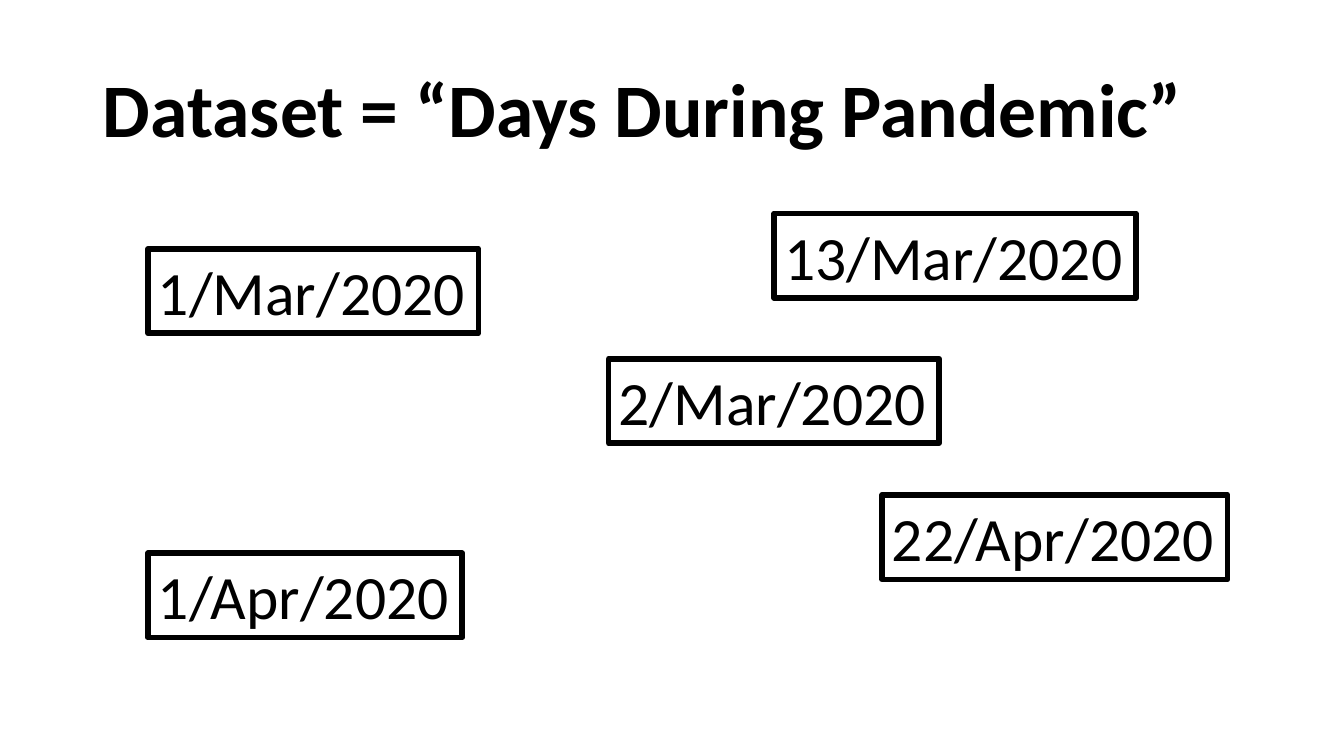
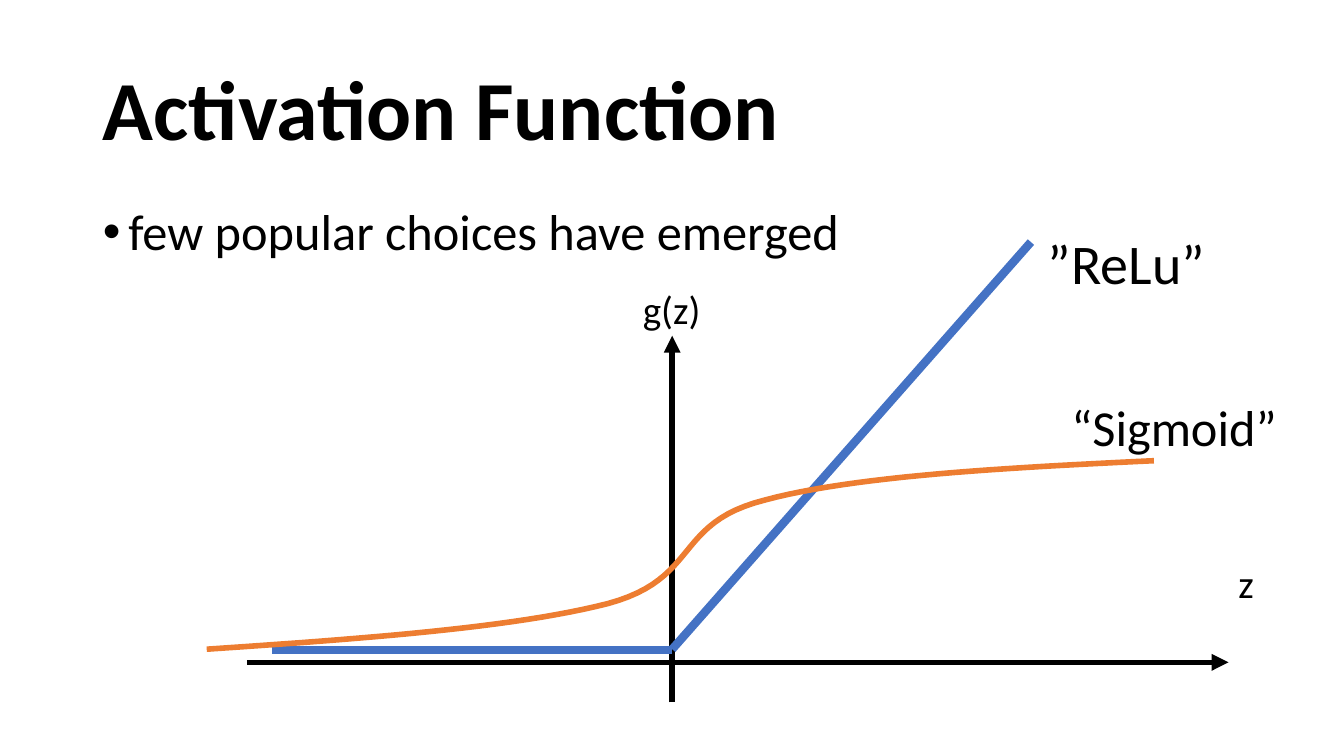
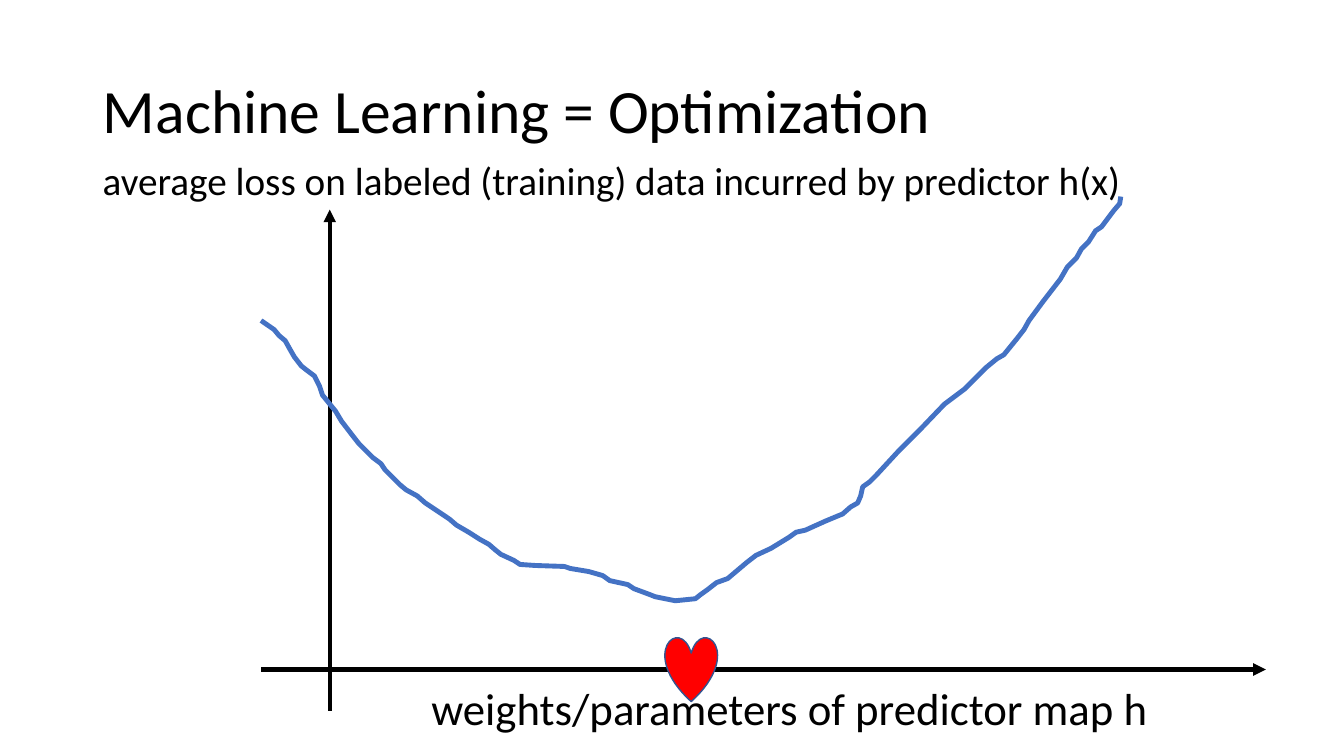
from lxml import etree
from pptx import Presentation
from pptx.dml.color import RGBColor
from pptx.enum.shapes import MSO_CONNECTOR, MSO_SHAPE
from pptx.enum.text import MSO_ANCHOR, MSO_AUTO_SIZE, PP_ALIGN
from pptx.oxml.ns import qn
from pptx.util import Cm, Pt

STRAIGHT = MSO_CONNECTOR.STRAIGHT
HEART = MSO_SHAPE.HEART
MIDDLE = MSO_ANCHOR.MIDDLE
LEFT = PP_ALIGN.LEFT
FIXED_SIZE = MSO_AUTO_SIZE.NONE
FIT_TEXT = MSO_AUTO_SIZE.SHAPE_TO_FIT_TEXT

BLACK = RGBColor(0x00, 0x00, 0x00)
BLUE = RGBColor(0x44, 0x72, 0xC4)
DARK_BLUE = RGBColor(0x32, 0x54, 0x91)
ORANGE = RGBColor(0xED, 0x7D, 0x31)
RED = RGBColor(0xFF, 0x00, 0x00)

FONT = "Calibri"
TITLE_ONLY, TITLE_AND_BODY = 5, 1
TITLE_AREA = (2.34, 1.02, 29.21, 3.68)
BODY_AREA = (2.34, 5.08, 29.21, 1.37)
BULLET_INDENT = Cm(0.64)

# Left, top and width in cm
DATES = {
    "1/Mar/2020": (3.73, 6.27, 8.33),
    "2/Mar/2020": (15.34, 9.04, 8.33),
    "1/Apr/2020": (3.73, 13.94, 7.92),
    "22/Apr/2020": (22.23, 12.47, 8.71),
    "13/Mar/2020": (19.51, 5.38, 9.12),
}
DATE_HEIGHT = 2.13

# Start point, then two control points and an end point for each piece, in cm
SIGMOID = [
    (5.21, 16.36),
    (9.09, 16.1), (12.95, 15.82), (15.32, 15.21),
    (17.65, 14.58), (16.97, 13.18), (19.28, 12.6),
    (21.56, 11.99), (25.32, 11.79), (29.08, 11.61),
]

# Hand-drawn loss curve in hundredths of an inch
LOSS_UNIT = Cm(2.54) / Cm(100)
LOSS = [
    (259, 318), (272, 327), (277, 333), (283, 338), (288, 347), (292, 354),
    (299, 363), (304, 367), (312, 373), (317, 383), (320, 392), (333, 408),
    (339, 418), (349, 431), (356, 440), (370, 454), (378, 460), (382, 466),
    (388, 472), (397, 481), (403, 486), (414, 492), (422, 499), (428, 503),
    (446, 515), (453, 521), (465, 528), (476, 535), (485, 540), (492, 546),
    (497, 550), (510, 556), (516, 560), (531, 561), (560, 562), (566, 564),
    (584, 567), (598, 571), (605, 576), (623, 580), (629, 584), (645, 590),
    (650, 592), (670, 596), (690, 594), (695, 590), (702, 585), (711, 578),
    (722, 574), (741, 558), (750, 551), (765, 544), (783, 533), (790, 528),
    (799, 526), (819, 517), (831, 512), (836, 510), (844, 503), (851, 499),
    (854, 492), (856, 483), (863, 478), (869, 472), (892, 447), (915, 424),
    (937, 401), (957, 386), (978, 365), (989, 356), (996, 352), (1009, 336),
    (1016, 327), (1021, 318), (1035, 299), (1052, 277), (1059, 265),
    (1068, 256), (1073, 247), (1080, 240), (1087, 229), (1093, 225),
    (1105, 209), (1111, 202), (1112, 195),
]


def bezier_points(controls, steps=24):
    """Sample a chain of cubic Bezier pieces as a list of points."""
    points = [controls[0]]
    for first in range(0, len(controls) - 1, 3):
        piece = controls[first:first + 4]
        for step in range(1, steps + 1):
            t = step / steps
            weights = ((1 - t) ** 3, 3 * t * (1 - t) ** 2, 3 * t * t * (1 - t), t ** 3)
            points.append(tuple(
                sum(weight * point[axis] for weight, point in zip(weights, piece))
                for axis in (0, 1)))
    return points


class Deck:
    """Holds the shared style and the current page; all lengths are in cm."""

    def __init__(self):
        self.presentation = Presentation()
        self.presentation.slide_width = Cm(33.87)
        self.presentation.slide_height = Cm(19.05)
        self.page = None

    def add_page(self, title, size, bold=False, layout=TITLE_ONLY):
        self.page = self.presentation.slides.add_slide(
            self.presentation.slide_layouts[layout])
        box = self.page.shapes.title
        self.place(box, TITLE_AREA)
        box.text_frame.vertical_anchor = MIDDLE
        self.set_text(box, title, size, bold).line_spacing = 0.9

    def place(self, box, area):
        box.left, box.top, box.width, box.height = map(Cm, area)
        box.text_frame.auto_size = FIXED_SIZE

    def set_text(self, box, text, size, bold=False):
        para = box.text_frame.paragraphs[0]
        para.text = text
        para.alignment = LEFT
        para.font.name = FONT
        para.font.size = Pt(size)
        para.font.bold = bold
        para.font.color.rgb = BLACK
        return para

    def bullet(self, text, size):
        body = self.page.placeholders[1]
        self.place(body, BODY_AREA)
        para = self.set_text(body, text, size)
        para.line_spacing = 0.9
        para.space_before = Pt(10)
        properties = para._p.get_or_add_pPr()
        properties.set("marL", str(BULLET_INDENT))
        properties.set("indent", str(-BULLET_INDENT))

    def label(self, text, size, *area):
        box = self.page.shapes.add_textbox(*map(Cm, area))
        box.text_frame.word_wrap = False
        box.text_frame.auto_size = FIT_TEXT
        self.set_text(box, text, size)
        return box

    def outline(self, shape, color, width):
        shape.line.color.rgb = color
        shape.line.width = Pt(width)

    def line(self, start, end, color, width):
        connector = self.page.shapes.add_connector(STRAIGHT, *map(Cm, start + end))
        self.outline(connector, color, width)
        etree.SubElement(connector._element.spPr, qn("a:effectLst"))
        return connector

    def arrow(self, start, end, width):
        connector = self.line(start, end, BLACK, width)
        outline = connector._element.spPr.find(qn("a:ln"))
        etree.SubElement(outline, qn("a:tailEnd"), type="triangle")

    def curve(self, points, color, width):
        start, *rest = [(Cm(x), Cm(y)) for x, y in points]
        builder = self.page.shapes.build_freeform(*start)
        builder.add_line_segments(rest, close=False)
        shape = builder.convert_to_shape()
        shape.shadow.inherit = False
        shape.fill.background()
        self.outline(shape, color, width)

    def heart(self, *area):
        shape = self.page.shapes.add_shape(HEART, *map(Cm, area))
        shape.shadow.inherit = False
        shape.fill.solid()
        shape.fill.fore_color.rgb = RED
        self.outline(shape, DARK_BLUE, 1)


def add_dataset_page(deck):
    deck.add_page("Dataset = “Days During Pandemic”", 54, bold=True)
    for date, area in DATES.items():
        box = deck.label(date, 44, *area, DATE_HEIGHT)
        deck.outline(box, BLACK, 4)


def add_activation_page(deck):
    deck.add_page("Activation Function", 60, bold=True, layout=TITLE_AND_BODY)
    deck.bullet("few popular choices have emerged", 36)
    deck.arrow((6.22, 16.69), (30.96, 16.69), 4)
    deck.arrow((16.94, 17.7), (16.94, 8.46), 4)
    deck.label("z", 28, 30.96, 13.97, 0.91, 1.45)
    deck.label("g(z)", 28, 15.95, 7.06, 1.98, 1.45)
    deck.line((6.86, 16.38), (16.94, 16.38), BLUE, 6)
    deck.line((16.94, 16.36), (25.98, 6.1), BLUE, 6)
    deck.label("”ReLu”", 40, 26.16, 5.64, 4.52, 1.96)
    deck.curve(bezier_points(SIGMOID), ORANGE, 4)
    deck.label("“Sigmoid”", 36, 26.75, 9.86, 5.74, 1.8)


def add_optimization_page(deck):
    deck.add_page("Machine Learning = Optimization", 44)
    deck.arrow((8.31, 17.91), (8.31, 5.28), 3)
    deck.arrow((6.58, 16.87), (31.9, 16.87), 3)
    deck.label("average loss on labeled (training) data incurred by predictor h(x)",
               28, 2.34, 3.81, 26.44, 1.45)
    deck.label("weights/parameters of predictor map h", 32, 10.62, 17.02, 19, 1.63)
    deck.curve([(x * LOSS_UNIT, y * LOSS_UNIT) for x, y in LOSS], BLUE, 3.5)
    deck.heart(16.76, 16.05, 1.32, 1.63)


def main():
    deck = Deck()
    add_dataset_page(deck)
    add_activation_page(deck)
    add_optimization_page(deck)
    deck.presentation.save("out.pptx")


if __name__ == "__main__":
    main()
